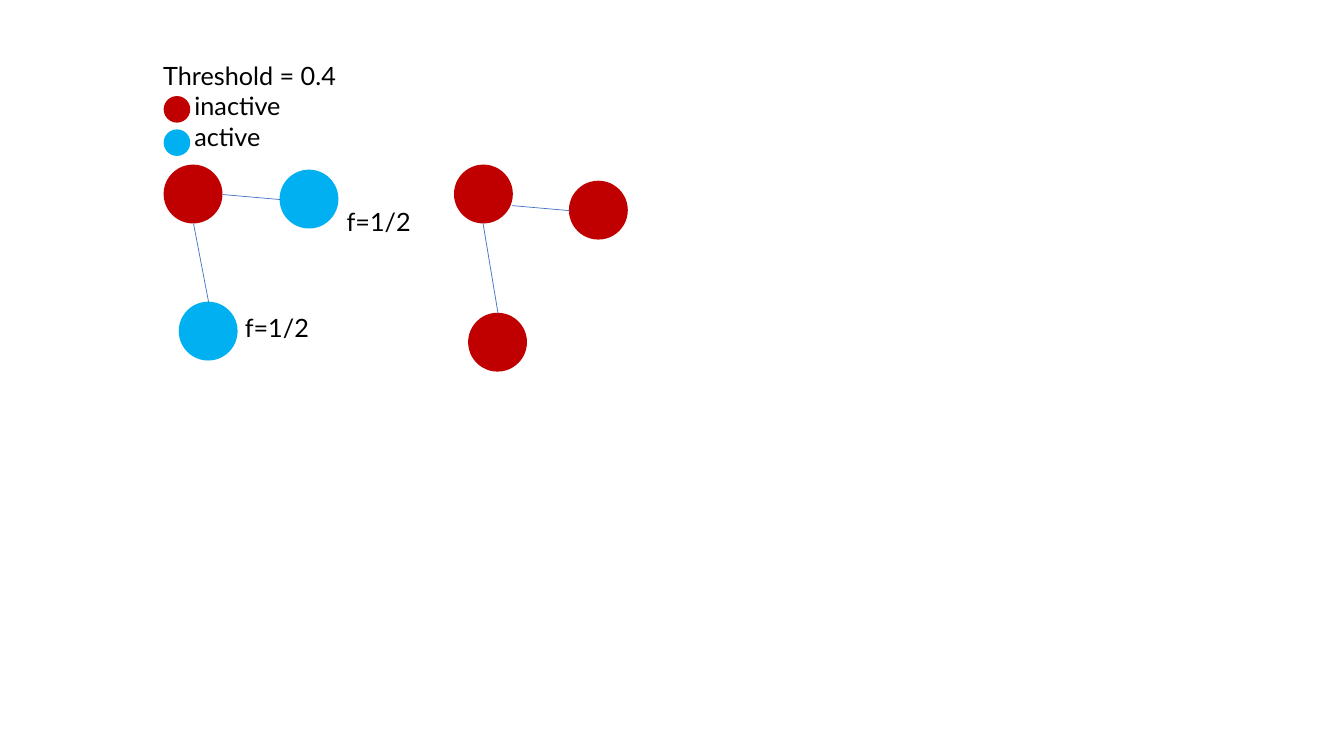
import pptx
import pptx.dml.color
import pptx.enum.shapes
import pptx.enum.text
import pptx.oxml.ns
import pptx.util
from lxml import etree

Inches = pptx.util.Inches
Pt = pptx.util.Pt

INACTIVE = "C00000"
ACTIVE = "00B0F0"
EDGE = "4472C4"
TEXT = "000000"
NODE_SIZE = 0.57
KEY_SIZE = 0.25


def color(hex_value):
    return pptx.dml.color.RGBColor.from_string(hex_value)


class NetworkSlide:
    font_name = "Lato"
    font_size = 18

    def __init__(self, presentation):
        self.slide = presentation.slides.add_slide(presentation.slide_layouts[6])

    def circle(self, left, top, size, fill):
        shape = self.slide.shapes.add_shape(
            pptx.enum.shapes.MSO_SHAPE.OVAL,
            Inches(left), Inches(top), Inches(size), Inches(size))
        shape.shadow.inherit = False
        shape.fill.solid()
        shape.fill.fore_color.rgb = color(fill)
        shape.line.color.rgb = color(fill)
        shape.line.width = Pt(1)

    def edge(self, start, end):
        connector = self.slide.shapes.add_connector(
            pptx.enum.shapes.MSO_CONNECTOR.STRAIGHT,
            *(Inches(value) for value in start + end))
        connector.line.color.rgb = color(EDGE)
        connector.line.width = Pt(0.5)
        etree.SubElement(connector._element.spPr, pptx.oxml.ns.qn("a:effectLst"))

    def text(self, left, top, width, height, lines):
        """Add a text box; lines holds (wording, left margin in inches)."""
        box = self.slide.shapes.add_textbox(
            Inches(left), Inches(top), Inches(width), Inches(height))
        frame = box.text_frame
        frame.word_wrap = True
        frame.auto_size = pptx.enum.text.MSO_AUTO_SIZE.SHAPE_TO_FIT_TEXT
        for index, (wording, margin) in enumerate(lines):
            paragraph = frame.add_paragraph() if index else frame.paragraphs[0]
            paragraph.text = wording
            paragraph.font.name = self.font_name
            paragraph.font.size = Pt(self.font_size)
            paragraph.font.color.rgb = color(TEXT)
            if margin:
                paragraph._p.get_or_add_pPr().set("marL", str(Inches(margin)))


def main():
    presentation = pptx.Presentation()
    presentation.slide_width = Inches(13.33)
    presentation.slide_height = Inches(7.5)
    network = NetworkSlide(presentation)

    nodes = [
        (1.63, 1.64, INACTIVE), (2.78, 1.69, ACTIVE), (1.78, 3, ACTIVE),
        (4.51, 1.64, INACTIVE), (5.65, 1.8, INACTIVE), (4.65, 3.11, INACTIVE),
    ]
    for left, top, state in nodes:
        network.circle(left, top, NODE_SIZE, state)

    edges = [
        ((2.21, 1.93), (2.78, 1.98)), ((2.07, 3), (1.92, 2.22)),
        ((5.08, 2.04), (5.65, 2.09)), ((4.94, 3.11), (4.79, 2.21)),
    ]
    for start, end in edges:
        network.edge(start, end)

    for left, top in [(2.33, 3.05), (3.34, 2)]:
        network.text(left, top, 0.9, 0.4, [("f=1/2", 0)])

    network.text(1.52, 0.55, 2.32, 1.01,
                 [("Threshold = 0.4", 0), ("inactive", 0.31), ("active", 0.31)])
    for top, state in [(0.96, INACTIVE), (1.29, ACTIVE)]:
        network.circle(1.63, top, KEY_SIZE, state)

    presentation.save("out.pptx")


if __name__ == "__main__":
    main()
